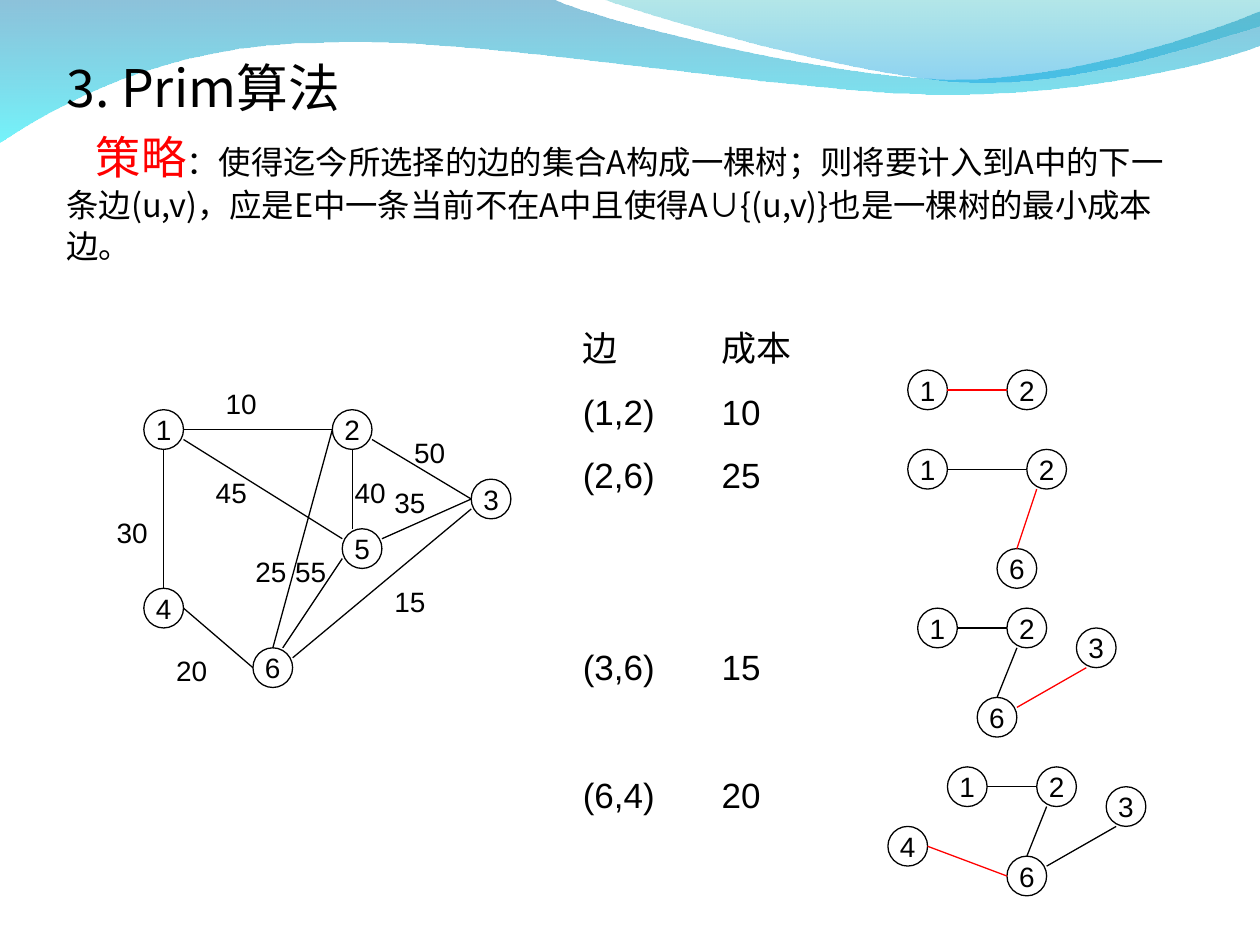
from dataclasses import dataclass

from lxml.etree import SubElement
from pptx import Presentation
from pptx.dml.color import RGBColor
from pptx.enum.shapes import MSO_CONNECTOR, MSO_SHAPE
from pptx.enum.text import MSO_ANCHOR, PP_ALIGN
from pptx.oxml.ns import qn
from pptx.slide import Slide
from pptx.text.text import _Run as Run
from pptx.util import Cm, Pt


@dataclass(frozen=True)
class Theme:
    ink: str = "000000"
    accent: str = "FF0000"
    latin: str = "Arial"
    cjk: str = "Noto Sans CJK SC"
    title: float = 29.6
    keyword: float = 25.9
    body: float = 18.5
    table: float = 20
    label: float = 16
    line: float = 0.75


@dataclass(frozen=True)
class Stop:
    color: str
    opacity: int


@dataclass(frozen=True)
class Wave:
    start: tuple
    segments: list
    stops: tuple


@dataclass(frozen=True)
class Edge:
    a: int
    a_spot: tuple
    b: int
    b_spot: tuple
    chosen: bool = False


@dataclass(frozen=True)
class Graph:
    nodes: dict
    edges: list


@dataclass(frozen=True)
class Row:
    edge: str
    cost: str
    skipped: int = 0


THEME = Theme()
STEP, X0, Y0, NODE = 0.2, 2.9, 8.26, 0.8
TOP, LEFT, BOTTOM, RIGHT = (2, 0), (0, 2), (2, 4), (4, 2)
UPPER_LEFT, LOWER_LEFT, UPPER_RIGHT, LOWER_RIGHT = (0, 1), (0, 3), (4, 1), (4, 3)
BOTTOM_LEFT, TOP_LEFT, TOP_RIGHT = (1, 4), (1, 0), (3, 0)
ROW_PITCH, ROW_GAP = 36.5, 12.5

WAVES = [
    Wave((0, 0), [
        [(11.18, 0)],
        [(12.09, 0.43), (16.87, 1.6), (19.25, 1.6)],
        [(21.67, 1.6), (24.33, 0.66), (25.4, 0.23)],
        [(25.4, 0.91)],
        [(24.97, 1.12), (22.1, 1.93), (18.95, 1.9)],
        [(15.8, 1.9), (9.7, 0.71), (6.53, 0.86)],
        [(3.28, 0.89), (1.17, 2.11), (0, 2.87)],
    ], (Stop("0079AF", 45), Stop("00EBF8", 55))),
    Wave((12.17, 0), [
        [(12.93, 0.28), (17.32, 1.57), (19.53, 1.65)],
        [(21.74, 1.75), (24.41, 0.81), (25.4, 0.53)],
        [(25.4, 0)],
    ], (Stop("00ADB6", 30), Stop("009BE5", 45))),
]

GRAPHS = [
    Graph({1: (0, 0), 4: (0, 18), 6: (11, 24), 2: (19, 0), 5: (20, 12), 3: (33, 7)}, [
        Edge(1, RIGHT, 2, LEFT), Edge(1, BOTTOM, 4, TOP), Edge(4, RIGHT, 6, LEFT),
        Edge(5, LOWER_LEFT, 6, TOP_RIGHT), Edge(2, LEFT, 6, TOP),
        Edge(1, LOWER_RIGHT, 5, UPPER_LEFT), Edge(2, BOTTOM, 5, TOP_LEFT),
        Edge(5, UPPER_RIGHT, 3, LEFT), Edge(2, LOWER_RIGHT, 3, LEFT),
        Edge(6, UPPER_RIGHT, 3, LOWER_LEFT)]),
    Graph({1: (77, -4), 2: (87, -4)}, [Edge(1, RIGHT, 2, LEFT, True)]),
    Graph({1: (77, 4), 6: (86, 14), 2: (89, 4)}, [
        Edge(1, RIGHT, 2, LEFT), Edge(2, BOTTOM_LEFT, 6, TOP, True)]),
    Graph({1: (78, 20), 6: (84, 29), 2: (87, 20), 3: (94, 22)}, [
        Edge(1, RIGHT, 2, LEFT), Edge(2, BOTTOM_LEFT, 6, TOP),
        Edge(6, UPPER_RIGHT, 3, BOTTOM_LEFT, True)]),
    Graph({1: (81, 36), 6: (87, 45), 2: (90, 36), 3: (97, 38), 4: (75, 42)}, [
        Edge(1, RIGHT, 2, LEFT), Edge(2, BOTTOM_LEFT, 6, TOP),
        Edge(6, UPPER_RIGHT, 3, BOTTOM_LEFT), Edge(4, RIGHT, 6, LEFT, True)]),
]

WEIGHTS = {10: (7, -3), 30: (-4, 10), 20: (2, 24), 45: (6, 6), 25: (10, 14),
           55: (14, 14), 40: (20, 6), 50: (26, 2), 15: (24, 17), 35: (24, 7)}

ROWS = [Row("边", "成本"), Row("(1,2)", "10"), Row("(2,6)", "25"),
        Row("(3,6)", "15", 2), Row("(6,4)", "20", 1)]


def grid(spot: tuple, offset: tuple = (0, 0)) -> tuple:
    return (Cm(X0 + STEP * (spot[0] + offset[0])), Cm(Y0 + STEP * (spot[1] + offset[1])))


def style_run(r: Run, size: float, color: str = THEME.ink, latin: str = THEME.latin) -> None:
    r.font.size = Pt(size)
    r.font.name = latin
    r.font.color.rgb = RGBColor.from_string(color)
    SubElement(r._r.get_or_add_rPr(), qn("a:ea")).set("typeface", THEME.cjk)


def draw_wave(s: Slide, wave: Wave) -> None:
    builder = s.shapes.build_freeform(*map(Cm, wave.start))
    builder.add_line_segments([(Cm(x), Cm(y)) for seg in wave.segments for x, y in seg], close=True)
    sp = builder.convert_to_shape()
    lines = iter(list(sp._element.iter(qn("a:lnTo"))))
    for segment in wave.segments:
        group = [next(lines) for _ in segment]
        if len(group) == 3:
            group[0].addprevious(curve := group[0].makeelement(qn("a:cubicBezTo")))
            for line in group:
                curve.append(line[0])
                line.getparent().remove(line)
    sp.shadow.inherit = False
    sp.line.fill.background()
    sp.fill.gradient()
    sp.fill.gradient_angle = 270
    for i, (target, stop) in enumerate(zip(sp.fill.gradient_stops, wave.stops)):
        target.position = i
        target.color.rgb = RGBColor.from_string(stop.color)
        color = target._gs.find(qn("a:srgbClr"))
        SubElement(color, qn("a:alpha")).set("val", str(stop.opacity * 1000))


def draw_node(s: Slide, number: int, spot: tuple) -> None:
    sp = s.shapes.add_shape(MSO_SHAPE.OVAL, *grid(spot), Cm(NODE), Cm(NODE))
    sp.shadow.inherit = False
    sp.fill.background()
    sp.line.color.rgb = RGBColor.from_string(THEME.ink)
    sp.line.width = Pt(THEME.line)
    tf = sp.text_frame
    tf.word_wrap = False
    tf.vertical_anchor = MSO_ANCHOR.MIDDLE
    tf.text = str(number)
    p = tf.paragraphs[0]
    p.alignment = PP_ALIGN.CENTER
    style_run(p.runs[0], THEME.label)


def draw_graph(s: Slide, graph: Graph) -> None:
    for number, spot in graph.nodes.items():
        draw_node(s, number, spot)
    for e in graph.edges:
        line = s.shapes.add_connector(MSO_CONNECTOR.STRAIGHT, *grid(graph.nodes[e.a], e.a_spot),
                                      *grid(graph.nodes[e.b], e.b_spot))
        line.line.color.rgb = RGBColor.from_string(THEME.accent if e.chosen else THEME.ink)
        line.line.width = Pt(THEME.line)
        SubElement(line._element.spPr, qn("a:effectLst"))


def draw_weight(s: Slide, weight: int, spot: tuple) -> None:
    tf = s.shapes.add_textbox(*grid(spot), Cm(1.4), Cm(0.94)).text_frame
    tf.word_wrap = True
    tf.text = str(weight)
    tf.paragraphs[0].space_before = Pt(10)
    style_run(tf.paragraphs[0].runs[0], THEME.label)


def draw_column(s: Slide, left: float, cells: list) -> None:
    tf = s.shapes.add_textbox(Cm(left), Cm(6.45), Cm(2), Cm(10.13)).text_frame
    tf.word_wrap = True
    tf.text = "\n".join(cells)
    for p, row in zip(tf.paragraphs, ROWS):
        p.space_before = Pt(ROW_GAP + ROW_PITCH * row.skipped)
        style_run(p.runs[0], THEME.table)


def draw_intro(s: Slide) -> None:
    tf = s.shapes.add_textbox(Cm(1.09), Cm(0.93), Cm(22.86), Cm(4.6)).text_frame
    tf.word_wrap = True
    tf.text = "3. Prim算法"
    title, p = tf.paragraphs[0], tf.add_paragraph()
    style_run(title.runs[0], THEME.title, latin=THEME.cjk)
    for text, size, color in [
        ("策略", THEME.keyword, THEME.accent),
        ("：使得迄今所选择的边的集合A构成一棵树；则将要计入到A中的下一条边(u,v)，"
         "应是E中一条当前不在A中且使得A∪{(u,v)}也是一棵树的最小成本边。", THEME.body, THEME.ink),
    ]:
        r = p.add_run()
        r.text = text
        style_run(r, size, color, THEME.cjk)
    for para, gap in ((title, 8), (p, 5)):
        para.line_spacing = 1.05
        para.space_before = Pt(gap)
    p._p.get_or_add_pPr().set("indent", str(Cm(0.59)))


def main() -> None:
    prs = Presentation()
    prs.slide_width, prs.slide_height = Cm(25.4), Cm(19.05)
    s = prs.slides.add_slide(prs.slide_layouts[6])
    for wave in WAVES:
        draw_wave(s, wave)
    draw_intro(s)
    for graph in GRAPHS:
        draw_graph(s, graph)
    for weight, spot in WEIGHTS.items():
        draw_weight(s, weight, spot)
    draw_column(s, 11.5, [row.edge for row in ROWS])
    draw_column(s, 14.3, [row.cost for row in ROWS])
    prs.save("out.pptx")


if __name__ == "__main__":
    main()
